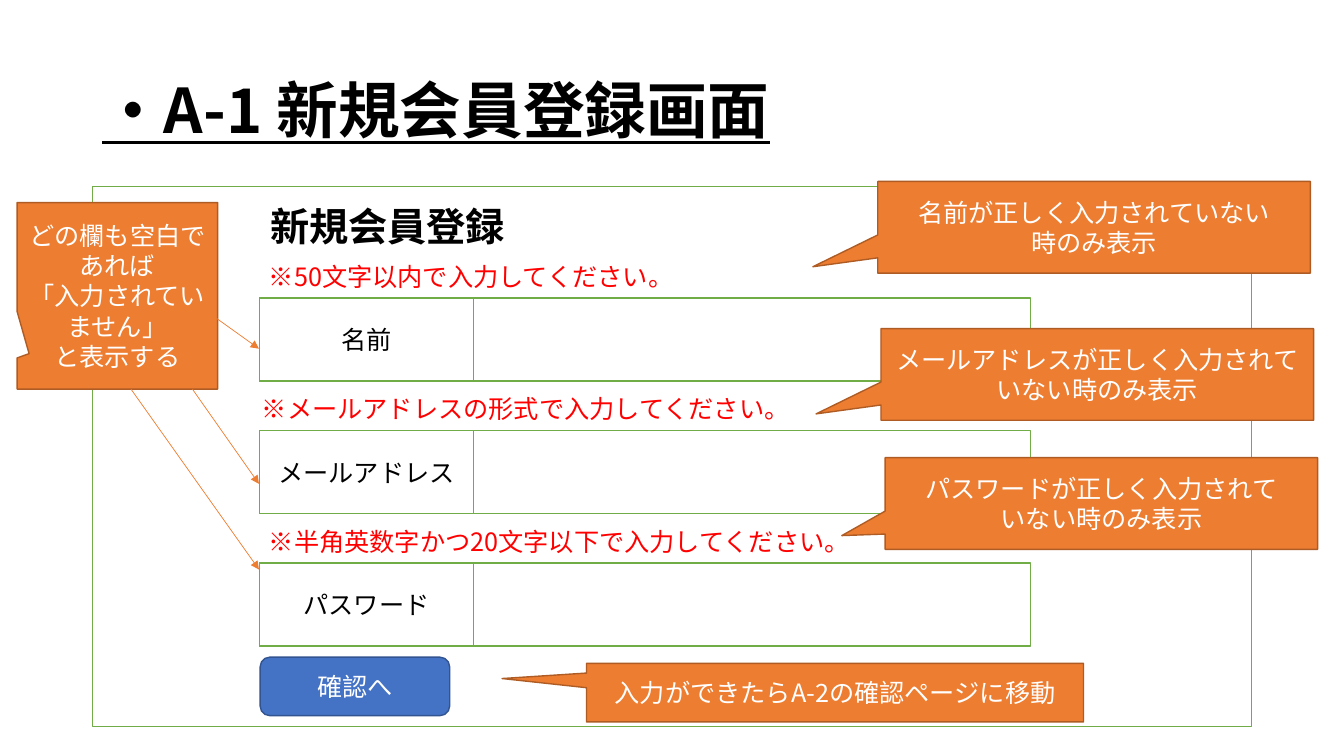
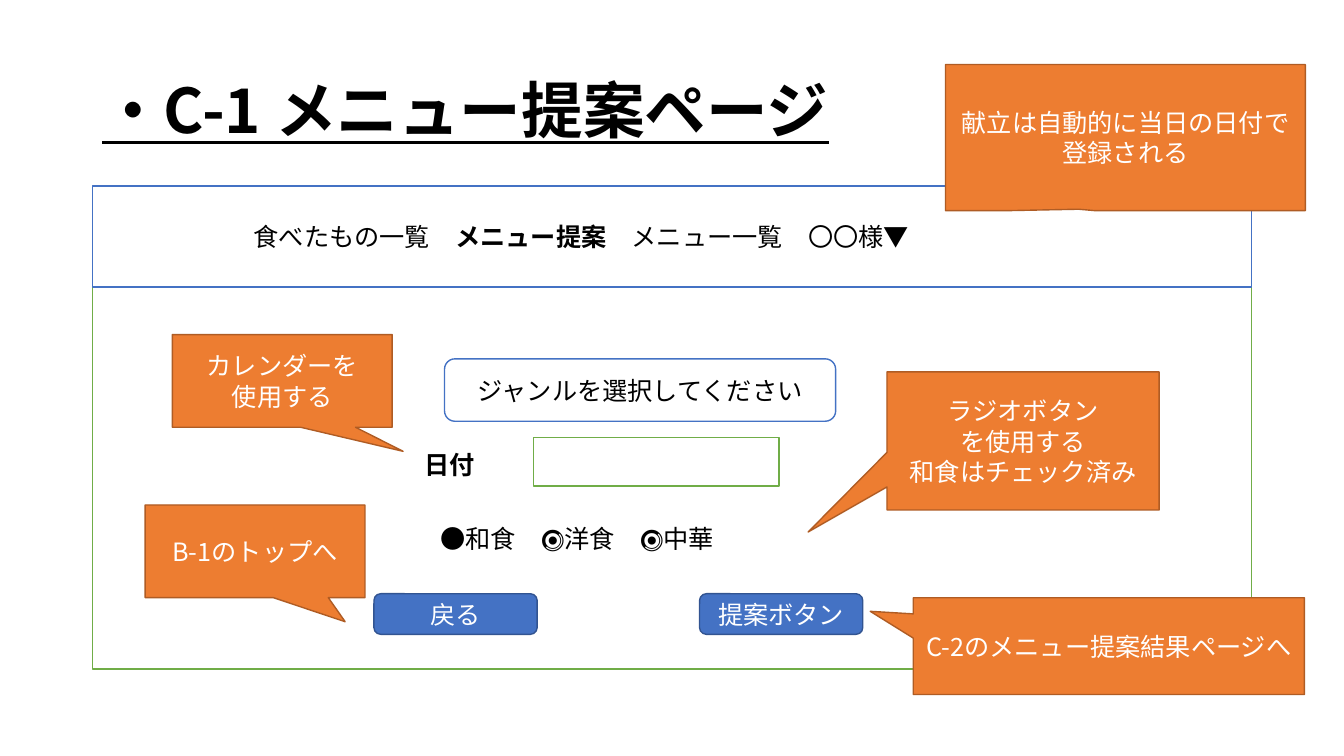
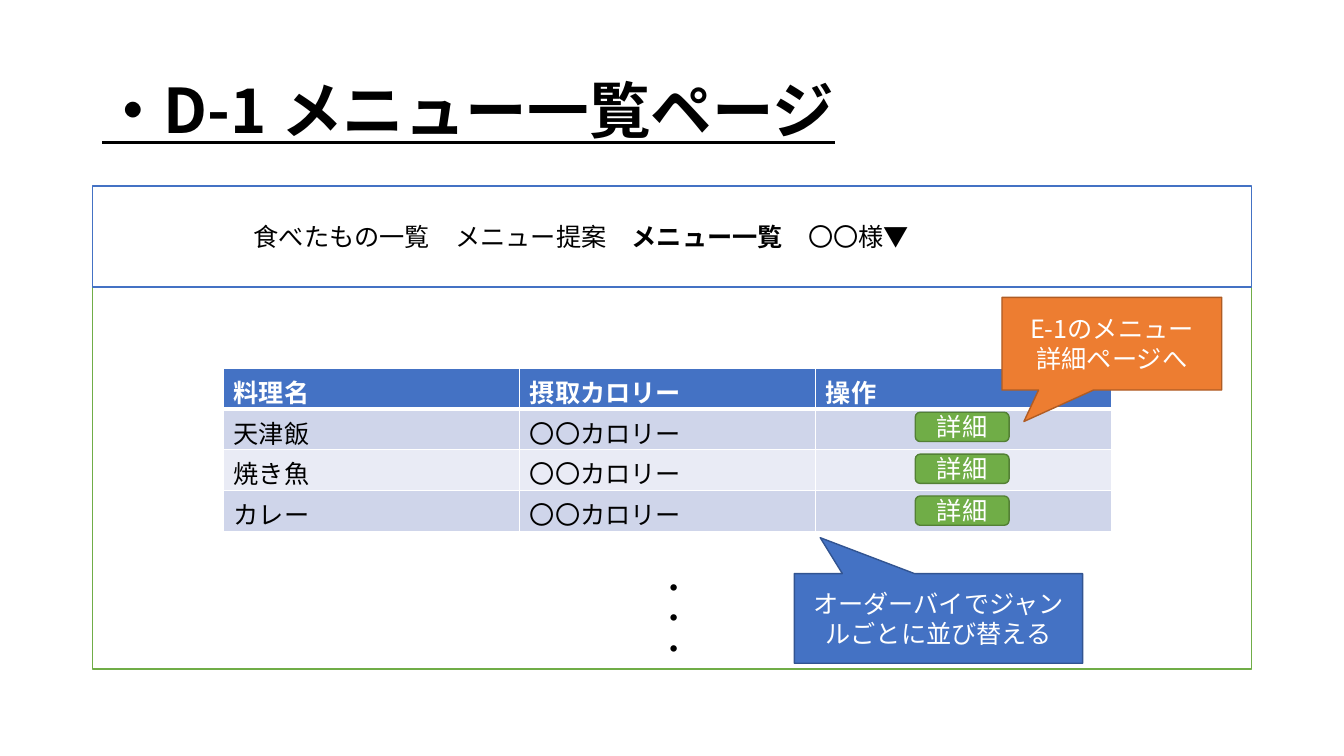
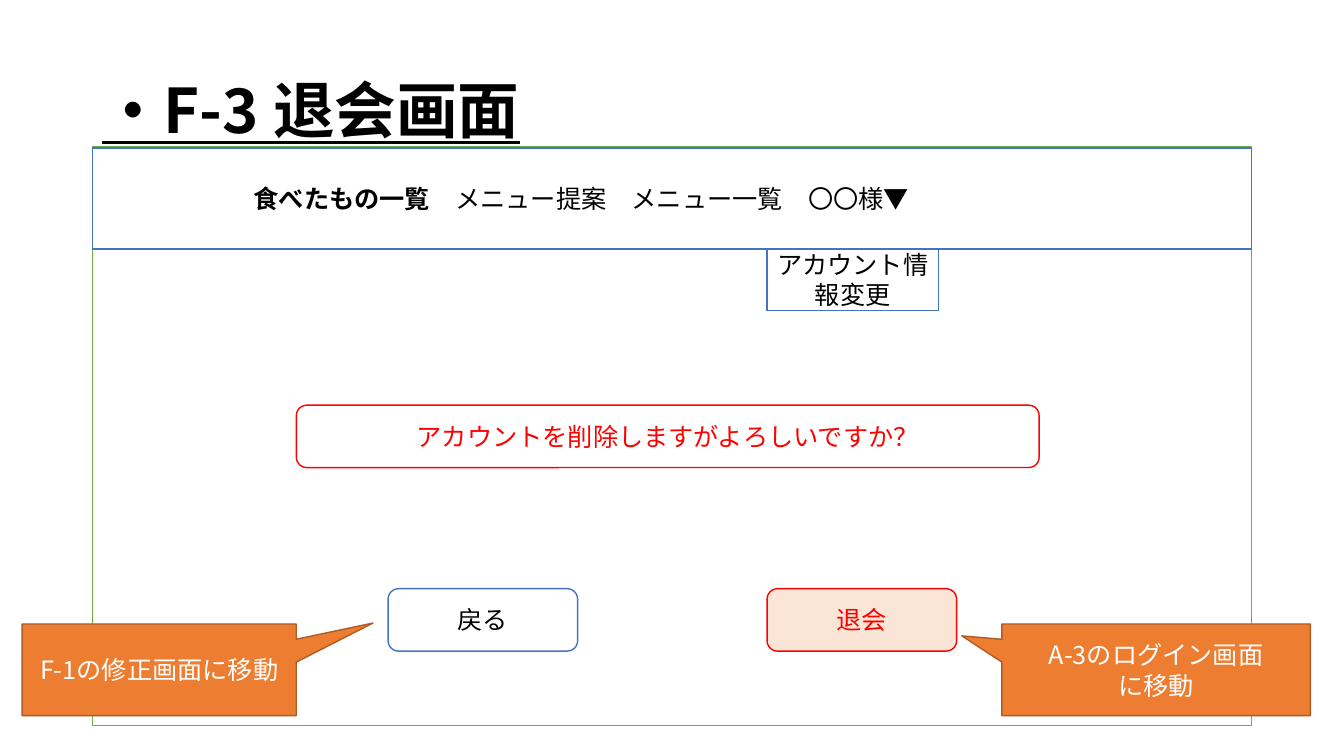
import pptx
import pptx.util
import pptx.dml.color
import pptx.enum.shapes
import pptx.enum.text
import pptx.oxml.ns
from lxml import etree

Pt = pptx.util.Pt
SHAPES = pptx.enum.shapes.MSO_SHAPE
ALIGN = pptx.enum.text.PP_ALIGN
ANCHOR = pptx.enum.text.MSO_ANCHOR
qn = pptx.oxml.ns.qn

FONT = "Noto Sans CJK JP"
COLORS = {
    "white": "FFFFFF", "black": "000000", "red": "FF0000", "pale_red": "FBE5D6",
    "blue": "4472C4", "dark_blue": "325491",
    "green": "70AD47", "dark_green": "538035",
    "orange": "ED7D31", "dark_orange": "AF5C24",
    "band_dark": "CFD5EA", "band_light": "E9EBF5",
}
FRAME_LEFT, FRAME_WIDTH, FRAME_TOP = 66, 828, 133
NAVIGATION = "食べたもの一覧　メニュー提案　メニュー一覧　〇〇様▼"


def rgb(name):
    return pptx.dml.color.RGBColor.from_string(COLORS[name])


# Text
def write_text(text_frame, text, size=18, color="black", bold=False, underline=None,
               align=ALIGN.LEFT, line_spacing=None, bold_part=""):
    """Write one paragraph per line; bold_part is set bold within its line."""
    for index, line in enumerate(text.split("\n")):
        paragraph = text_frame.paragraphs[0] if index == 0 else text_frame.add_paragraph()
        paragraph.alignment = align
        paragraph.line_spacing = line_spacing
        before, strong, after = line.partition(bold_part) if bold_part else (line, "", "")
        for part, is_bold in ((before, bold), (strong, True), (after, bold)):
            if not part:
                continue
            run = paragraph.add_run()
            run.text = part
            font = run.font
            font.name, font.size, font.bold, font.underline = FONT, Pt(size), is_bold, underline
            font.color.rgb = rgb(color)
            etree.SubElement(run._r.get_or_add_rPr(), qn("a:ea"), typeface=FONT)


def add_text(slide, box, text, anchor=ANCHOR.TOP, **text_format):
    text_box = slide.shapes.add_textbox(*map(Pt, box))
    text_box.text_frame.word_wrap = True
    text_box.text_frame.vertical_anchor = anchor
    write_text(text_box.text_frame, text, **text_format)


def add_title(slide, text):
    add_text(slide, (FRAME_LEFT, 28.8, FRAME_WIDTH, 104.4), text, anchor=ANCHOR.MIDDLE,
             size=44, bold=True, underline=True, line_spacing=0.9)


# Shapes
def add_box(slide, box, text="", kind=SHAPES.RECTANGLE, fill="white", line="green",
            align=ALIGN.CENTER, **text_format):
    shape = slide.shapes.add_shape(kind, *map(Pt, box))
    shape.shadow.inherit = False
    shape.fill.solid()
    shape.fill.fore_color.rgb = rgb(fill)
    shape.line.color.rgb = rgb(line)
    shape.line.width = Pt(1)
    if text:
        shape.text_frame.word_wrap = True
        shape.text_frame.vertical_anchor = ANCHOR.MIDDLE
        write_text(shape.text_frame, text, align=align, **text_format)
    return shape


def add_button(slide, box, text, fill="blue", line="dark_blue", color="white"):
    add_box(slide, box, text, kind=SHAPES.ROUNDED_RECTANGLE, fill=fill, line=line, color=color)


def add_callout(slide, box, tip, text, fill="orange", line="dark_orange"):
    """tip is the pointer's offset from the centre, as shares of width and height."""
    callout = add_box(slide, box, text, kind=SHAPES.RECTANGULAR_CALLOUT,
                      fill=fill, line=line, color="white")
    callout.adjustments[0], callout.adjustments[1] = tip


def add_arrow(slide, start, end):
    arrow = slide.shapes.add_connector(pptx.enum.shapes.MSO_CONNECTOR.STRAIGHT,
                                       *map(Pt, start + end))
    arrow.line.color.rgb = rgb("orange")
    arrow.line.width = Pt(0.5)
    etree.SubElement(arrow.line._get_or_add_ln(), qn("a:tailEnd"), type="triangle")
    etree.SubElement(arrow._element.spPr, qn("a:effectLst"))


# Page mock-ups
def add_frame(slide, height, top=FRAME_TOP):
    add_box(slide, (FRAME_LEFT, top, FRAME_WIDTH, height))


def add_navigation(slide, current, top=FRAME_TOP):
    bar = add_box(slide, (FRAME_LEFT, top, FRAME_WIDTH, 72), NAVIGATION, line="blue",
                  align=ALIGN.LEFT, bold_part=current)
    bar.text_frame.margin_left = Pt(115.2)


def add_field(slide, top, label):
    add_box(slide, (185.5, top, 550.6, 59.2))
    add_box(slide, (185.5, top, 152.6, 59.2), label)


# Table
def set_borders(cell, widths):
    properties = cell._tc.get_or_add_tcPr()
    for side, width in widths.items():
        border = etree.SubElement(properties, qn("a:ln" + side), w=str(Pt(width)))
        fill = etree.SubElement(border, qn("a:solidFill"))
        etree.SubElement(fill, qn("a:srgbClr"), val=COLORS["white"])


def add_dish_table(slide, rows):
    table = slide.shapes.add_table(len(rows), len(rows[0]), Pt(159.8), Pt(262.8),
                                   Pt(634.5), Pt(116.8)).table
    for row_index, row in enumerate(rows):
        header = row_index == 0
        fill = "blue" if header else ("band_light", "band_dark")[row_index % 2]
        table.rows[row_index].height = Pt(29.2)
        for column_index, text in enumerate(row):
            cell = table.cell(row_index, column_index)
            set_borders(cell, {"L": 1, "R": 1, "T": 3 if row_index == 1 else 1,
                               "B": 3 if header else 1})
            cell.fill.solid()
            cell.fill.fore_color.rgb = rgb(fill)
            write_text(cell.text_frame, text, color="white" if header else "black", bold=header)


# Slides
def build_registration(slide):
    add_title(slide, "・A-1 新規会員登録画面")
    add_frame(slide, 386)
    add_text(slide, (185.8, 141.1, 399.6, 41), "新規会員登録", size=28, bold=True)

    fields = [
        ("名前", "※50文字以内で入力してください。", 185, 358),
        ("メールアドレス", "※メールアドレスの形式で入力してください。", 180, 424),
        ("パスワード", "※半角英数字かつ20文字以下で入力してください。", 185, 436),
    ]
    for index, (label, rule, rule_left, rule_width) in enumerate(fields):
        top = 213 + 94.6 * index
        add_field(slide, top, label)
        add_text(slide, (rule_left, top - 30, rule_width, 29), rule, color="red")
    add_button(slide, (185.8, 469.4, 135.4, 41.8), "確認へ")

    add_callout(slide, (419, 473.8, 355, 41.8), (-0.67, -0.24),
                "入力ができたらA-2の確認ページに移動")
    for left, top, tip, text in [
        (627, 129.6, (-0.65, 0.43), "名前が正しく入力されていない\n時のみ表示"),
        (629.3, 234.7, (-0.65, 0.43), "メールアドレスが正しく入力されていない時のみ表示"),
        (632.2, 326.9, (-0.6, 0.35), "パスワードが正しく入力されて\nいない時のみ表示"),
    ]:
        add_callout(slide, (left, top, 309, 65.5), tip, text)
    add_callout(slide, (12.2, 144.7, 143.3, 133.2), (-0.44, 0.31),
                "どの欄も空白であれば\n「入力されていません」\nと表示する")
    for start, end_top in [((154.8, 227.5), 249.1), ((137.5, 278), 345.6), ((93.6, 278), 406.8)]:
        add_arrow(slide, start, (185, end_top))


def build_suggestion(slide):
    add_title(slide, "・C-1 メニュー提案ページ")
    add_frame(slide, 345)
    add_navigation(slide, "メニュー提案")

    # Form
    add_button(slide, (317.5, 256.3, 279.4, 44.6), "ジャンルを選択してください",
               fill="white", line="blue", color="black")
    add_text(slide, (295.9, 317.5, 67.7, 29), "日付", bold=True)
    add_box(slide, (380.9, 312.5, 175.7, 34.6))
    add_text(slide, (307.4, 370.1, 264.2, 29), "●和食　🔘洋食　🔘中華")
    for left, text in [(267.1, "戻る"), (499.7, "提案ボタン")]:
        add_button(slide, (left, 424.1, 116.6, 29), text)

    # Remarks
    for box, tip, text in [
        ((103.7, 360.7, 157, 66.2), (0.41, 0.76), "B-1のトップへ"),
        ((652.3, 427, 279.4, 69.1), (-0.61, -0.36), "C-2のメニュー提案結果ページへ"),
        ((633.6, 265.7, 194.4, 98.6), (-0.79, 0.66),
         "ラジオボタン\nを使用する\n和食はチェック済み"),
        ((675.4, 46.1, 257, 104.4), (-0.13, 0.49), "献立は自動的に当日の日付で登録される"),
        ((123.1, 239, 157, 66.2), (0.55, 0.76), "カレンダーを\n使用する"),
    ]:
        add_callout(slide, box, tip, text)


def build_menu_list(slide):
    add_title(slide, "・D-1 メニュー一覧ページ")
    add_frame(slide, 345)
    add_navigation(slide, "メニュー一覧")

    dishes = ["天津飯", "焼き魚", "カレー"]
    add_dish_table(slide, [("料理名", "摂取カロリー", "操作")]
                   + [(dish, "〇〇カロリー", "") for dish in dishes])
    add_text(slide, (465.1, 405.4, 30.2, 72.7), "・\n・\n・", bold=True)
    add_callout(slide, (567.4, 409.7, 205.9, 64.1), (-0.41, -0.9),
                "オーダーバイでジャンルごとに並び替える", fill="blue", line="dark_blue")
    for index in range(len(dishes)):
        add_button(slide, (653.8, 294.5 + 29.9 * index, 67, 20.9), "詳細",
                   fill="green", line="dark_green")
    add_callout(slide, (715.7, 212.4, 157, 66.2), (-0.4, 0.84), "E-1のメニュー\n詳細ページへ")


def build_withdrawal(slide):
    add_frame(slide, 413.3, top=105.1)
    add_navigation(slide, "食べたもの一覧", top=105.8)
    add_box(slide, (547.9, 177.8, 122.4, 43.9), "アカウント情報変更", line="blue")
    add_title(slide, "・F-3 退会画面")

    add_button(slide, (277.2, 420.5, 135.4, 44.6), "戻る",
               fill="white", line="blue", color="black")
    add_button(slide, (547.9, 420.5, 135.4, 44.6), "退会",
               fill="pale_red", line="red", color="red")
    add_callout(slide, (715.7, 445.7, 220.3, 65.5), (-0.63, -0.37), "A-3のログイン画面\nに移動")
    add_callout(slide, (15.8, 445.7, 195.8, 65.5), (0.78, -0.51), "F-1の修正画面に移動")
    add_button(slide, (211.7, 289.4, 530.6, 44.6), "アカウントを削除しますがよろしいですか？",
               fill="white", line="red", color="red")


def main():
    presentation = pptx.Presentation()
    presentation.slide_width, presentation.slide_height = Pt(960), Pt(540)
    for build in (build_registration, build_suggestion, build_menu_list, build_withdrawal):
        build(presentation.slides.add_slide(presentation.slide_layouts[6]))
    presentation.save("out.pptx")


if __name__ == "__main__":
    main()
